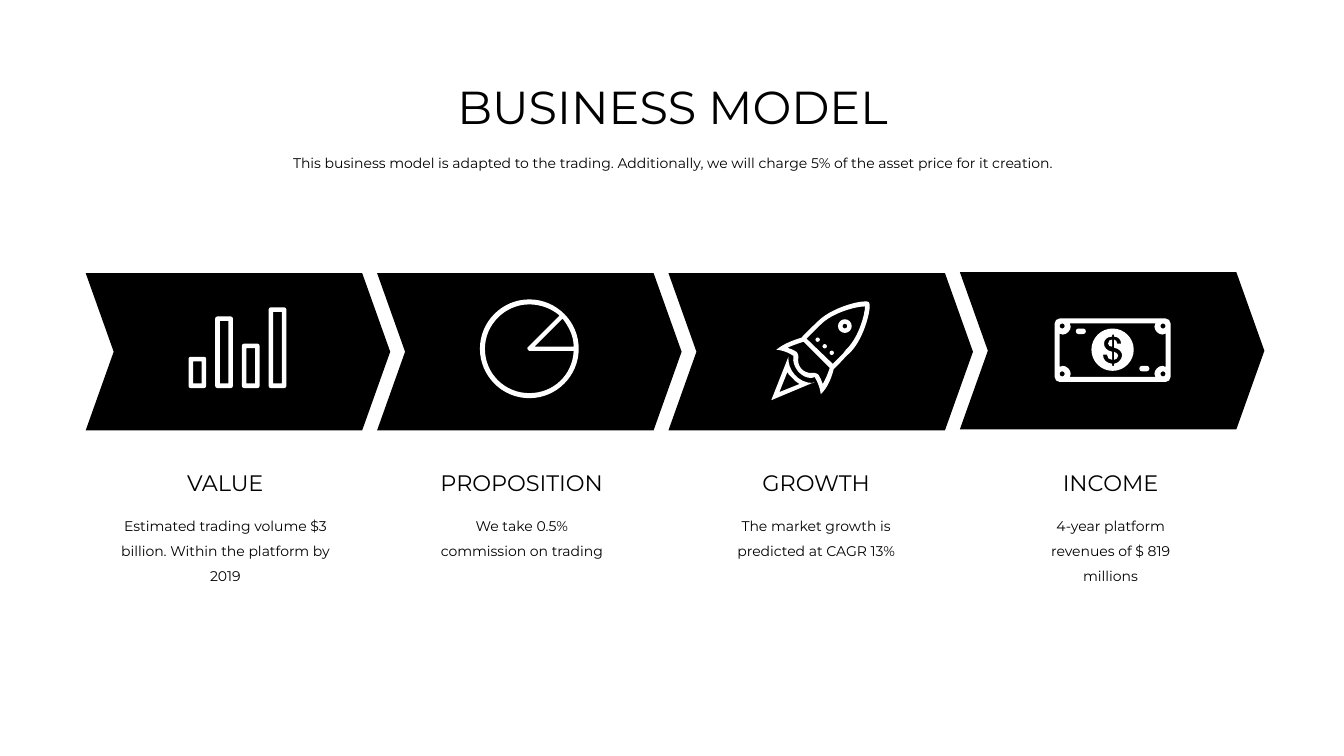
from dataclasses import dataclass
from pptx import Presentation
from pptx.dml.color import RGBColor
from pptx.enum.shapes import MSO_SHAPE
from pptx.enum.text import MSO_ANCHOR, MSO_AUTO_SIZE, PP_ALIGN
from pptx.oxml.ns import qn
from pptx.shapes.autoshape import Shape
from pptx.slide import Slide
from pptx.util import Emu, Pt

PX = 9144  # 100 px to the inch
FONT = "Montserrat"
BLACK = RGBColor(0x00, 0x00, 0x00)
WHITE = RGBColor(0xFF, 0xFF, 0xFF)
ROUNDNESS = 0.55  # handle length of a quarter circle, in radii

Point = tuple[float, float]
Segment = tuple[Point, ...]  # one point: straight line; three points: cubic curve


@dataclass(frozen=True)
class Frame:
    left: int
    top: int
    width: int
    height: int

    def emu(self) -> list[Emu]:
        return [Emu(side * PX) for side in (self.left, self.top, self.width, self.height)]


@dataclass(frozen=True)
class Stage:
    heading: str
    heading_left: int
    heading_width: int
    body: str
    body_left: int
    body_width: int
    chevron_top: int = 271


@dataclass(frozen=True)
class Contour:
    start: Point
    segments: tuple[Segment, ...]


STAGES = (
    Stage("VALUE", 145, 157,
          "Estimated trading volume $3 billion. Within the platform by 2019", 103, 241),
    Stage("PROPOSITION", 409, 217, "We take 0.5% commission on trading", 430, 175),
    Stage("GROWTH", 714, 191, "The market growth is predicted at CAGR 13%", 701, 217),
    Stage("INCOME", 1014, 175, "4-year platform revenues of $ 819 millions", 1014, 175, 270),
)
BAR_TOPS = (354, 314, 341, 305)
BAR_BASE = 385

PIE_OUTLINES = (
    "525,390 C 501,390 481,371 481,346 C 481,322 501,302 525,302 C 536,302 547,306 555,313 "
    "L 523,345 C 523,347 524,348 525,348 L 569,348 C 568,372 549,390 525,390",
    "569,344 L 530,344 L 558,316 C 564,324 569,333 569,344",
)
NOTE_FIELD = (
    "1156,364 C 1155,363 1154,363 1153,363 C 1149,363 1145,367 1145,371 "
    "C 1145,372 1146,373 1146,374 L 1061,374 C 1061,373 1062,372 1062,371 "
    "C 1062,367 1058,363 1054,363 C 1053,363 1052,363 1051,364 L 1051,331 "
    "C 1052,331 1053,332 1054,332 C 1058,332 1062,328 1062,324 C 1062,323 1061,322 1061,321 "
    "L 1146,321 C 1146,322 1145,323 1145,324 C 1145,328 1149,332 1153,332 "
    "C 1154,332 1155,331 1156,331 L 1156,364"
)
DOLLAR_OUTLINES = (
    "1112,356 C 1111,358 1109,360 1105,361 L 1105,363 L 1103,363 L 1103,361 "
    "C 1097,360 1094,357 1094,352 L 1098,352 C 1098,355 1100,357 1103,357 L 1103,349 "
    "C 1098,348 1095,345 1095,341 C 1095,337 1098,334 1103,334 L 1103,332 L 1105,332 "
    "L 1105,334 C 1109,334 1112,337 1112,341 L 1108,341 C 1108,339 1107,337 1105,337 "
    "L 1105,345 C 1110,346 1113,349 1113,353 C 1113,354 1112,355 1112,356",
    "1107,350 C 1106,350 1105,349 1105,349 L 1105,357 "
    "C 1107,357 1109,355 1109,353 C 1109,352 1108,351 1107,350",
    "1099,341 C 1099,343 1101,344 1103,344 L 1103,337 C 1101,337 1099,338 1099,341",
)
ROCKET_OUTLINES = (
    "773,389 L 781,369 C 782,371 783,373 785,374 C 787,377 790,379 793,381 L 773,389",
    "782,354 L 765,397 L 808,379 C 807,380 806,380 806,380 C 792,380 781,367 782,354",
    "839,347 C 838,348 837,350 836,351 L 826,361 L 800,336 L 810,326 "
    "C 812,324 813,323 814,322 C 826,310 849,304 858,304 C 858,311 852,335 839,347",
    "823,365 C 821,371 819,376 816,381 C 815,378 814,375 812,372 C 811,371 810,370 808,370 "
    "C 807,370 806,370 805,370 C 801,370 798,369 795,366 C 792,363 791,358 792,354 "
    "C 792,352 791,350 790,349 C 787,347 784,346 781,345 C 785,343 791,341 797,339 L 823,365",
    "862,300 C 861,299 860,299 858,299 C 849,299 824,306 811,319 C 808,322 798,331 795,335 "
    "C 788,337 777,341 770,347 C 770,347 778,347 787,353 C 786,359 788,364 792,369 "
    "C 796,373 800,375 805,375 C 806,375 807,375 808,374 C 814,384 814,391 814,391 "
    "C 821,385 825,374 827,366 C 830,364 839,353 843,350 C 858,335 865,303 862,300",
)


def contour(outline: str) -> Contour:
    """Read a start point, then L (line) and C (curve) groups of x,y pairs."""
    groups: list[list[Point]] = [[]]
    for word in outline.split():
        if word in ("L", "C"):
            groups.append([])
        else:
            x, y = word.split(",")
            groups[-1].append((int(x), int(y)))
    return Contour(groups[0][0], tuple(tuple(group) for group in groups[1:]))


def rounded_box(left: float, top: float, width: float, height: float,
                radius: float = 0) -> Contour:
    right, bottom = left + width, top + height
    handle = radius * (1 - ROUNDNESS)
    segments: list[Segment] = []
    for (x, y), (in_x, in_y), (out_x, out_y) in (
            ((right, top), (-1, 0), (0, 1)), ((right, bottom), (0, -1), (-1, 0)),
            ((left, bottom), (1, 0), (0, -1)), ((left, top), (0, 1), (1, 0))):
        segments.append(((x + in_x * radius, y + in_y * radius),))
        if radius:
            segments.append(((x + in_x * handle, y + in_y * handle),
                             (x + out_x * handle, y + out_y * handle),
                             (x + out_x * radius, y + out_y * radius)))
    return Contour((left + radius, top), tuple(segments))


def circle(x: float, y: float, radius: float) -> Contour:
    return rounded_box(x - radius, y - radius, 2 * radius, 2 * radius, radius)


def bars_icon() -> list[Contour]:
    contours = []
    for index, top in enumerate(BAR_TOPS):
        left = 187 + 26.5 * index
        contours += [rounded_box(left, top, 17.5, BAR_BASE - top, 2),
                     rounded_box(left + 4.5, top + 4.5, 8.5, BAR_BASE - top - 9)]
    return contours


def pie_icon() -> list[Contour]:
    return [circle(525, 346, 49), *map(contour, PIE_OUTLINES)]


def rocket_icon() -> list[Contour]:
    rivets = [circle(811 + 7 * index, 337 + 6.5 * index, 2.2) for index in range(3)]
    porthole = [circle(838, 323.5, 6.8), circle(838, 323.5, 2.4)]
    return [*rivets, *porthole, *map(contour, ROCKET_OUTLINES)]


def banknote_icon() -> list[Contour]:
    studs = [circle(x, y, 2.6) for x in (1053.5, 1153.5) for y in (323.5, 371)]
    dashes = [rounded_box(1067, 326, 10, 5.5, 2.6), rounded_box(1130, 363, 10, 5.5, 2.6)]
    return [rounded_box(1046, 316, 115, 63, 5), contour(NOTE_FIELD), *studs, *dashes,
            circle(1103.5, 347, 21), *map(contour, DOLLAR_OUTLINES)]


def paint(shape: Shape, color: RGBColor) -> None:
    shape.shadow.inherit = False
    shape.fill.solid()
    shape.fill.fore_color.rgb = color
    shape.line.fill.background()


def add_icon(page: Slide, contours: list[Contour]) -> None:
    """Draw the contours as one freeform, turning three-point segments into curves."""
    x, y = contours[0].start
    builder = page.shapes.build_freeform(x * PX, y * PX)
    for index, part in enumerate(contours):
        if index:
            builder.move_to(part.start[0] * PX, part.start[1] * PX)
        builder.add_line_segments(
            [(x * PX, y * PX) for segment in part.segments for x, y in segment], close=True)
    shape = builder.convert_to_shape()
    paint(shape, WHITE)
    lines = iter(list(shape.element.iter(qn("a:lnTo"))))
    for segment in (segment for part in contours for segment in part.segments):
        first, *others = [next(lines) for _ in segment]
        if others:
            first.tag = qn("a:cubicBezTo")
        for line in others:
            first.append(line[0])
            line.getparent().remove(line)


def write(box: Shape, text: str, size: int, spacing: float = 1.0) -> None:
    body = box.text_frame
    body.word_wrap = True
    body.auto_size = MSO_AUTO_SIZE.NONE
    body.vertical_anchor = MSO_ANCHOR.TOP
    body.margin_left = body.margin_right = Emu(5 * PX)
    body.margin_top = body.margin_bottom = Emu(2 * PX)
    para = body.paragraphs[0]
    para.alignment = PP_ALIGN.CENTER
    para.line_spacing = spacing
    span = para.add_run()
    span.text = text
    span.font.name, span.font.size = FONT, Pt(size)
    span.font.color.rgb = BLACK


def add_text(page: Slide, frame: Frame, text: str, size: int, spacing: float = 1.0) -> None:
    write(page.shapes.add_textbox(*frame.emu()), text, size, spacing)


def main() -> None:
    deck = Presentation()
    deck.slide_width, deck.slide_height = Emu(1333 * PX), Emu(750 * PX)
    page = deck.slides.add_slide(deck.slide_layouts.get_by_name("Title Only"))
    title = page.shapes.title
    title.left, title.top, title.width, title.height = Frame(407, 76, 520, 61).emu()
    write(title, "BUSINESS MODEL", 33)
    add_text(page, Frame(266, 143, 802, 50),
             "This business model is adapted to the trading. Additionally, "
             "we will charge 5% of the asset price for it creation.", 10, 1.5)
    for index, stage in enumerate(STAGES):
        add_text(page, Frame(stage.body_left, 503, stage.body_width, 77), stage.body, 10, 1.5)
        add_text(page, Frame(stage.heading_left, 463, stage.heading_width, 32),
                 stage.heading, 16)
        frame = Frame(85 + 289 * index, stage.chevron_top, 302, 156)
        chevron = page.shapes.add_shape(MSO_SHAPE.CHEVRON, *frame.emu())
        chevron.adjustments[0] = 0.178
        paint(chevron, BLACK)
    for icon in (pie_icon, banknote_icon, bars_icon, rocket_icon):
        add_icon(page, icon())
    deck.save("out.pptx")


if __name__ == "__main__":
    main()
